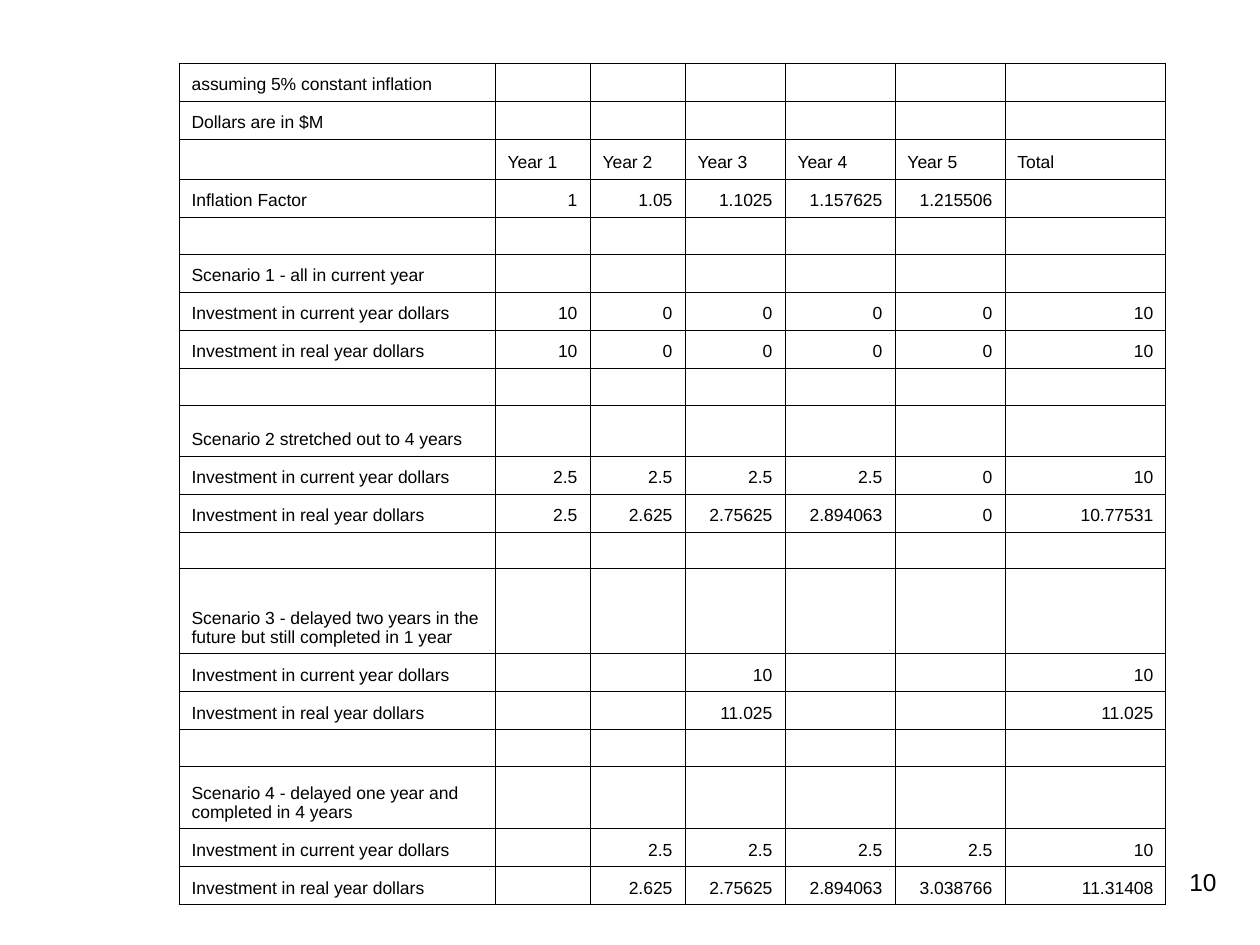
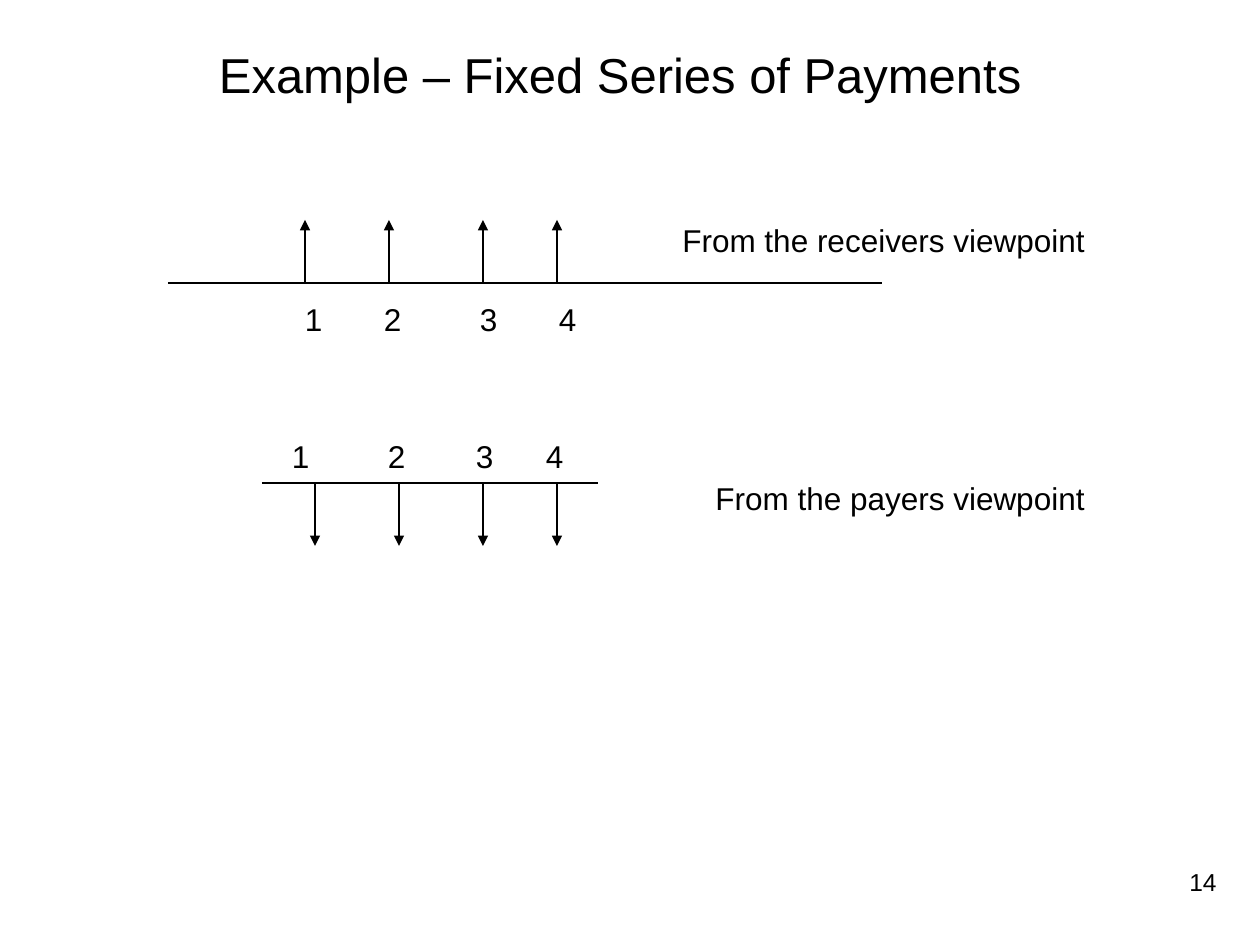
from itertools import product

from lxml.etree import SubElement
from pptx import Presentation
from pptx.dml.color import RGBColor
from pptx.enum.shapes import MSO_CONNECTOR
from pptx.enum.text import MSO_ANCHOR, MSO_AUTO_SIZE, PP_ALIGN
from pptx.oxml.ns import qn
from pptx.util import Inches, Pt

PX = Inches(1) / 126
FONT = "Arial"
COLORS = {"ink": "000000"}
INK = RGBColor.from_string(COLORS["ink"])

# Inflation table: label, years 1 to 5, total
CURRENT = "Investment in current year dollars"
REAL = "Investment in real year dollars"
COLUMN_WIDTHS = [316, 95, 95, 100, 110, 110, 161]
ROW_HEIGHT, BLANK_HEIGHT = 38, 37
TALL_ROWS = {2: 40, 9: 51, 13: 85, 17: 62}
ROWS = [
    ["assuming 5% constant inflation"],
    ["Dollars are in $M"],
    ["", "Year 1", "Year 2", "Year 3", "Year 4", "Year 5", "Total"],
    ["Inflation Factor", "1", "1.05", "1.1025", "1.157625", "1.215506"],
    [],
    ["Scenario 1 - all in current year"],
    [CURRENT, "10", "0", "0", "0", "0", "10"],
    [REAL, "10", "0", "0", "0", "0", "10"],
    [],
    ["Scenario 2 stretched out to 4 years"],
    [CURRENT, "2.5", "2.5", "2.5", "2.5", "0", "10"],
    [REAL, "2.5", "2.625", "2.75625", "2.894063", "0", "10.77531"],
    [],
    ["Scenario 3 - delayed two years in the future but still completed in 1 year"],
    [CURRENT, "", "", "10", "", "", "10"],
    [REAL, "", "", "11.025", "", "", "11.025"],
    [],
    ["Scenario 4 - delayed one year and completed in 4 years"],
    [CURRENT, "", "2.5", "2.5", "2.5", "2.5", "10"],
    [REAL, "", "2.625", "2.75625", "2.894063", "3.038766", "11.31408"],
]


def px(length):
    return round(length * PX)


def format_runs(para, size):
    for span in para.runs:
        span.font.name = FONT
        span.font.size = Pt(size)
        span.font.color.rgb = INK


def add_text(page, text, box, size, align=PP_ALIGN.LEFT, anchor=MSO_ANCHOR.TOP, wrap=True):
    shape = page.shapes.add_textbox(*map(px, box))
    frame = shape.text_frame
    frame.word_wrap = wrap
    frame.auto_size = MSO_AUTO_SIZE.NONE
    frame.vertical_anchor = anchor
    frame.text = text
    frame.paragraphs[0].alignment = align
    format_runs(frame.paragraphs[0], size)
    return shape


def add_line(page, start, end, arrow=False):
    line = page.shapes.add_connector(MSO_CONNECTOR.STRAIGHT, *map(px, start + end))
    line.line.color.rgb = INK
    line.line.width = Pt(0.75)
    properties = line.element.spPr
    if arrow:
        SubElement(properties.find(qn("a:ln")), qn("a:tailEnd"), type="triangle")
    SubElement(properties, qn("a:effectLst"))


def new_page(deck, number):
    page = deck.slides.add_slide(deck.slide_layouts[6])
    add_text(page, str(number), (935, 861, 294, 66), 14, PP_ALIGN.RIGHT)
    return page


def fill_cell(cell, text, align):
    # Thin borders, then an empty fill
    properties = cell._tc.get_or_add_tcPr()
    for side in "LRTB":
        border = SubElement(properties, qn(f"a:ln{side}"), w=str(Pt(0.45)))
        fill = SubElement(border, qn("a:solidFill"))
        SubElement(fill, qn("a:srgbClr"), val=COLORS["ink"])
    cell.fill.background()
    cell.vertical_anchor = MSO_ANCHOR.BOTTOM
    para = cell.text_frame.paragraphs[0]
    if text:
        para.text = text
        para.alignment = align
        format_runs(para, 10)
    else:
        # Empty cells need a small font too, or their rows grow
        SubElement(para._p, qn("a:endParaRPr"), sz="1000")


def add_inflation_table(page, left, top):
    heights = [TALL_ROWS.get(index, ROW_HEIGHT if row else BLANK_HEIGHT)
               for index, row in enumerate(ROWS)]
    frame = page.shapes.add_table(len(ROWS), len(COLUMN_WIDTHS), px(left), px(top),
                                  px(sum(COLUMN_WIDTHS)), px(sum(heights)))
    table = frame.table
    table.first_row = table.horz_banding = False
    for column, width in zip(table.columns, COLUMN_WIDTHS):
        column.width = px(width)
    for row, height in zip(table.rows, heights):
        row.height = px(height)
    for r, c in product(range(len(ROWS)), range(len(COLUMN_WIDTHS))):
        text = ROWS[r][c] if c < len(ROWS[r]) else ""
        is_label = c == 0 or r == 2
        fill_cell(table.cell(r, c), text, PP_ALIGN.LEFT if is_label else PP_ALIGN.RIGHT)


def add_period_labels(page, box, inset, stops):
    shape = add_text(page, "1\t2\t3\t4", box, 18)
    shape.text_frame.margin_left = px(inset)
    properties = shape.text_frame.paragraphs[0]._p.get_or_add_pPr()
    tabs = SubElement(properties, qn("a:tabLst"))
    for stop in stops:
        SubElement(tabs, qn("a:tab"), pos=str(px(stop)), algn="l")


def add_cash_flow(page, left, baseline, width, arrows, rise):
    """Draw a time line with one payment arrow per period; positive rise points up."""
    add_line(page, (left, baseline), (left + width, baseline))
    for offset in arrows:
        x = left + offset
        add_line(page, (x, baseline), (x, baseline - rise), arrow=True)


def build_inflation_page(deck):
    page = new_page(deck, 10)
    add_inflation_table(page, 179, 63)


def build_payments_page(deck):
    page = new_page(deck, 14)
    add_text(page, "Example – Fixed Series of Payments", (158, 21, 924, 105), 28,
             PP_ALIGN.CENTER, MSO_ANCHOR.MIDDLE)
    # Receiver: payments come in
    add_cash_flow(page, 168, 283, 714, [137, 221, 315, 389], 63)
    add_period_labels(page, (284, 294, 480, 50), 21, [79, 175, 254])
    add_text(page, "From the receivers viewpoint", (670, 215, 427, 50), 18, wrap=False)
    # Payer: payments go out
    add_cash_flow(page, 262, 483, 336, [53, 137, 221, 295], -63)
    add_period_labels(page, (262, 431, 314, 50), 30, [96, 184, 254])
    add_text(page, "From the payers viewpoint", (703, 473, 394, 50), 18, wrap=False)


def main():
    deck = Presentation()
    deck.slide_width, deck.slide_height = Inches(10), Inches(7.5)
    build_inflation_page(deck)
    build_payments_page(deck)
    deck.save("out.pptx")


if __name__ == "__main__":
    main()
